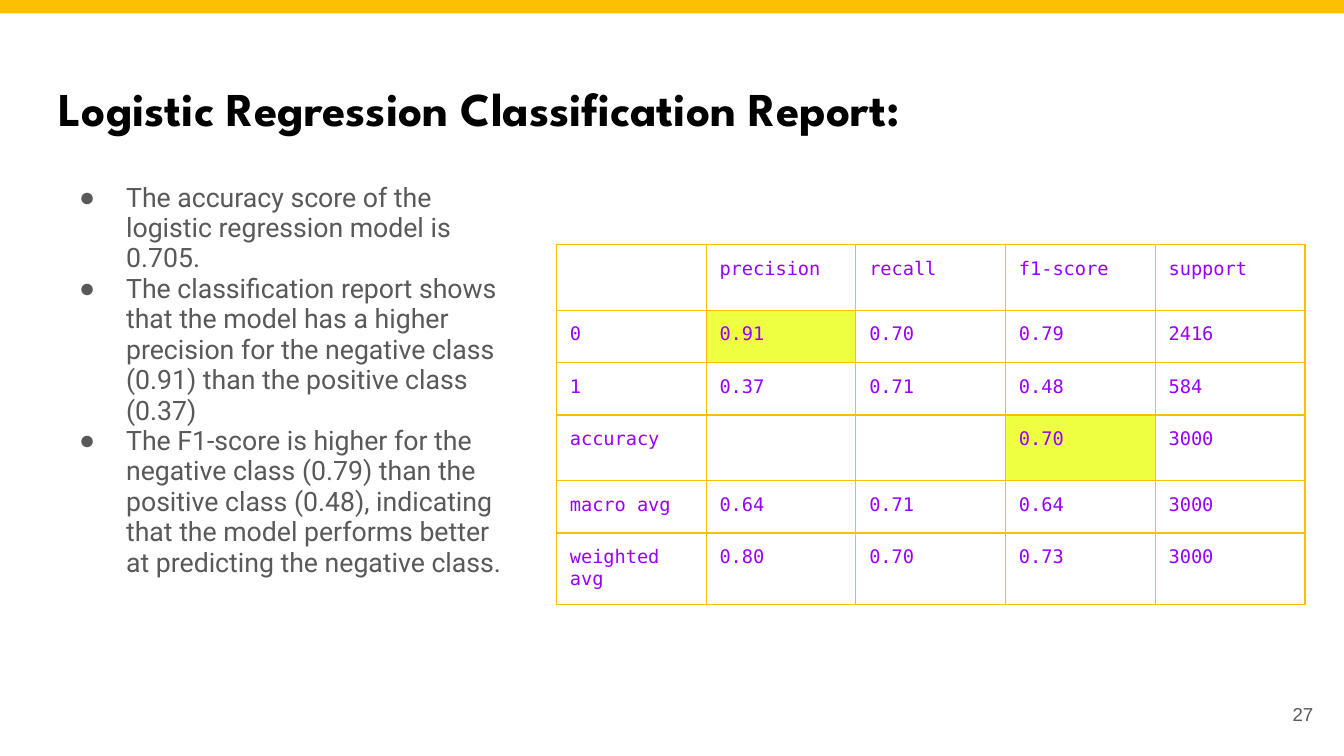
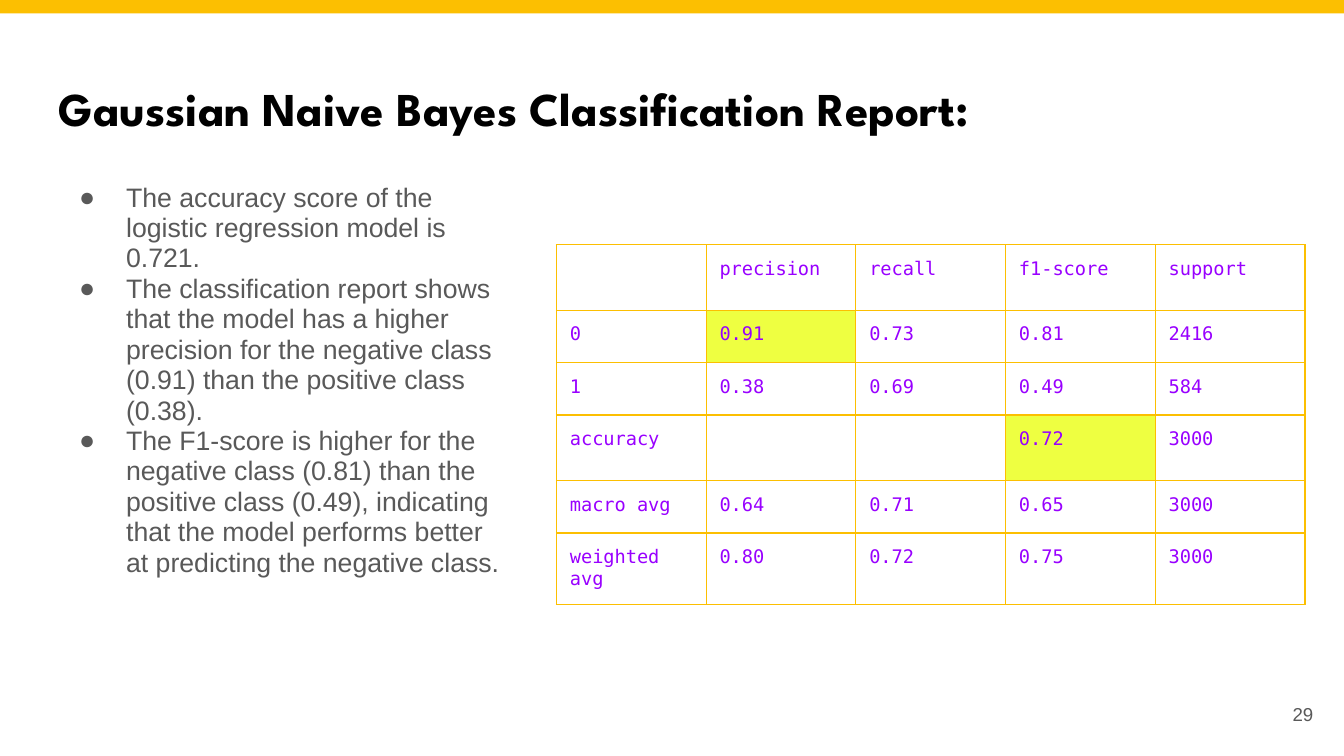
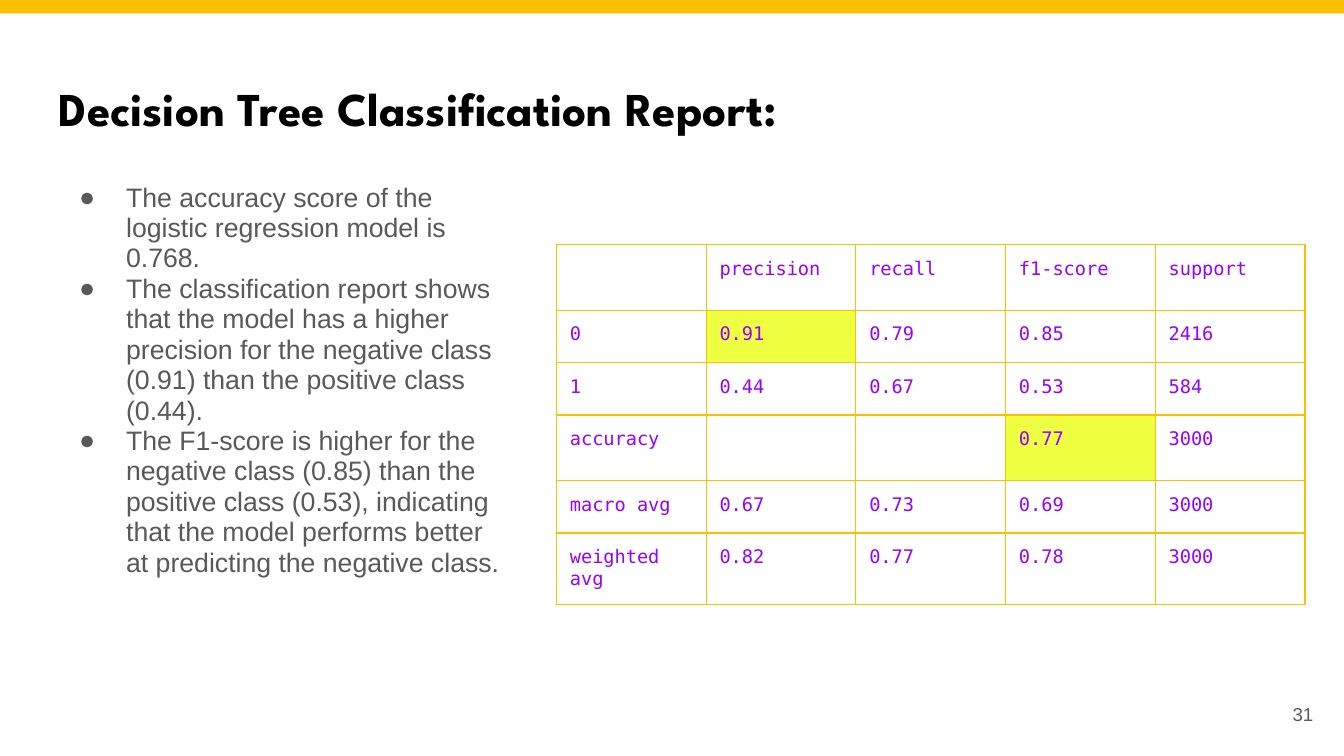
from dataclasses import dataclass

from lxml import etree
from pptx import Presentation
from pptx.dml.color import RGBColor
from pptx.enum.shapes import MSO_SHAPE
from pptx.enum.text import MSO_ANCHOR, PP_ALIGN
from pptx.oxml.ns import qn
from pptx.util import Inches, Pt

RECTANGLE = MSO_SHAPE.RECTANGLE
TOP, MIDDLE = MSO_ANCHOR.TOP, MSO_ANCHOR.MIDDLE
LEFT, RIGHT = PP_ALIGN.LEFT, PP_ALIGN.RIGHT


@dataclass(frozen=True)
class Theme:
    gold: str = "FCBF01"
    title: str = "000000"
    gray: str = "595959"
    purple: str = "9900FF"
    highlight: str = "EEFF41"
    title_font: str = "League Spartan"
    plain_font: str = "Arial"
    table_font: str = "DejaVu Sans Mono"
    title_size: float = 25.2
    body_size: float = 14.3
    small_size: float = 10
    blank_cell_size: float = 17.3
    border_width: float = 0.75


THEME = Theme()
TABLE_WIDTH, COLUMN_COUNT = 5.57, 5
ROW_COUNT, ROW_HEIGHT = 6, 0.39
HIGHLIGHTED_CELLS = {(1, 1), (3, 3)}
HEADER = ["", "precision", "recall", "f1-score", "support"]

# Each class or average row holds precision, recall and f1-score.
REPORTS = [
    dict(model="Logistic Regression", page=27, body_font="Roboto", ending="",
         score="0.705", accuracy="0.70",
         negative=["0.91", "0.70", "0.79"], positive=["0.37", "0.71", "0.48"],
         macro=["0.64", "0.71", "0.64"], weighted=["0.80", "0.70", "0.73"]),
    dict(model="Gaussian Naive Bayes", page=29, body_font=THEME.plain_font, ending=".",
         score="0.721", accuracy="0.72",
         negative=["0.91", "0.73", "0.81"], positive=["0.38", "0.69", "0.49"],
         macro=["0.64", "0.71", "0.65"], weighted=["0.80", "0.72", "0.75"]),
    dict(model="Decision Tree", page=31, body_font=THEME.plain_font, ending=".",
         score="0.768", accuracy="0.77",
         negative=["0.91", "0.79", "0.85"], positive=["0.44", "0.67", "0.53"],
         macro=["0.67", "0.73", "0.69"], weighted=["0.82", "0.77", "0.78"]),
]


def style_font(font, name, size, color, bold=False):
    font.name, font.size, font.bold = name, Pt(size), bold
    font.color.rgb = RGBColor.from_string(color)


def add_text(slide, box, lines, font_style, anchor=TOP, align=LEFT, bulleted=False):
    """Add a wrapped text box with one paragraph per line."""
    frame = slide.shapes.add_textbox(*map(Inches, box)).text_frame
    frame.word_wrap = True
    frame.vertical_anchor = anchor
    frame.margin_left = frame.margin_right = Inches(0.1)
    frame.margin_top = frame.margin_bottom = Inches(0.1)
    frame.text = "\n".join(lines)
    for paragraph in frame.paragraphs:
        paragraph.alignment = align
        if bulleted:
            paragraph.line_spacing = 0.95
            properties = paragraph._p.get_or_add_pPr()
            properties.set("marL", str(Inches(0.5)))
            properties.set("indent", str(Inches(-0.35)))
            bullet_color = etree.SubElement(properties, qn("a:buClr"))
            etree.SubElement(bullet_color, qn("a:srgbClr"), val=THEME.gray)
            etree.SubElement(properties, qn("a:buFont"), typeface=THEME.plain_font)
            etree.SubElement(properties, qn("a:buChar"), char="●")
        style_font(paragraph.font, *font_style)


presentation = Presentation()
presentation.slide_width = Inches(10)
presentation.slide_height = Inches(10) * 9 // 16
blank_layout = presentation.slide_layouts[6]

for report in REPORTS:
    slide = presentation.slides.add_slide(blank_layout)
    negative, positive = report["negative"], report["positive"]

    add_text(slide, (0.34, 0.49, 9.32, 0.63), [f"{report['model']} Classification Report:"],
             (THEME.title_font, THEME.title_size, THEME.title, True))

    band = slide.shapes.add_shape(RECTANGLE, 0, 0, Inches(10), Inches(0.1))
    band.shadow.inherit = False
    band.fill.solid()
    band.fill.fore_color.rgb = RGBColor.from_string(THEME.gold)
    band.line.fill.background()

    rows = [
        HEADER,
        ["0", *negative, "2416"],
        ["1", *positive, "584"],
        ["accuracy", "", "", report["accuracy"], "3000"],
        ["macro avg", *report["macro"], "3000"],
        ["weighted avg", *report["weighted"], "3000"],
    ]
    table = slide.shapes.add_table(
        ROW_COUNT, COLUMN_COUNT, Inches(4.14), Inches(1.82),
        Inches(TABLE_WIDTH), Inches(ROW_COUNT * ROW_HEIGHT)).table
    table.first_row = table.horz_banding = False
    for row_index, values in enumerate(rows):
        table.rows[row_index].height = Inches(ROW_HEIGHT)
        for column_index, value in enumerate(values):
            cell = table.cell(row_index, column_index)
            cell.margin_left = cell.margin_right = Inches(0.1)
            cell.margin_top = cell.margin_bottom = Inches(0.1)
            paragraph = cell.text_frame.paragraphs[0]
            if value:
                run = paragraph.add_run()
                run.text = value
                style_font(run.font, THEME.table_font, THEME.small_size, THEME.purple)
            else:
                blank = etree.SubElement(paragraph._p, qn("a:endParaRPr"),
                                         sz=str(round(THEME.blank_cell_size * 100)))
                etree.SubElement(blank, qn("a:latin"), typeface=THEME.plain_font)

            cell_properties = cell._tc.get_or_add_tcPr()
            for side in ("a:lnL", "a:lnR", "a:lnT", "a:lnB"):
                border = etree.SubElement(cell_properties, qn(side),
                                          w=str(Pt(THEME.border_width)))
                border_fill = etree.SubElement(border, qn("a:solidFill"))
                etree.SubElement(border_fill, qn("a:srgbClr"), val=THEME.gold)
            if (row_index, column_index) in HIGHLIGHTED_CELLS:
                cell.fill.solid()
                cell.fill.fore_color.rgb = RGBColor.from_string(THEME.highlight)
            else:
                cell.fill.background()

    findings = [
        f"The accuracy score of the logistic regression model is {report['score']}.",
        "The classification report shows that the model has a higher precision for the "
        f"negative class ({negative[0]}) than the positive class ({positive[0]})"
        f"{report['ending']}",
        f"The F1-score is higher for the negative class ({negative[2]}) than the positive "
        f"class ({positive[2]}), indicating that the model performs better at predicting "
        "the negative class.",
    ]
    add_text(slide, (0.34, 1.26, 3.52, 3.74), findings,
             (report["body_font"], THEME.body_size, THEME.gray), bulleted=True)
    add_text(slide, (9.27, 5.1, 0.6, 0.43), [str(report["page"])],
             (THEME.plain_font, THEME.small_size, THEME.gray), anchor=MIDDLE, align=RIGHT)

presentation.save("out.pptx")
